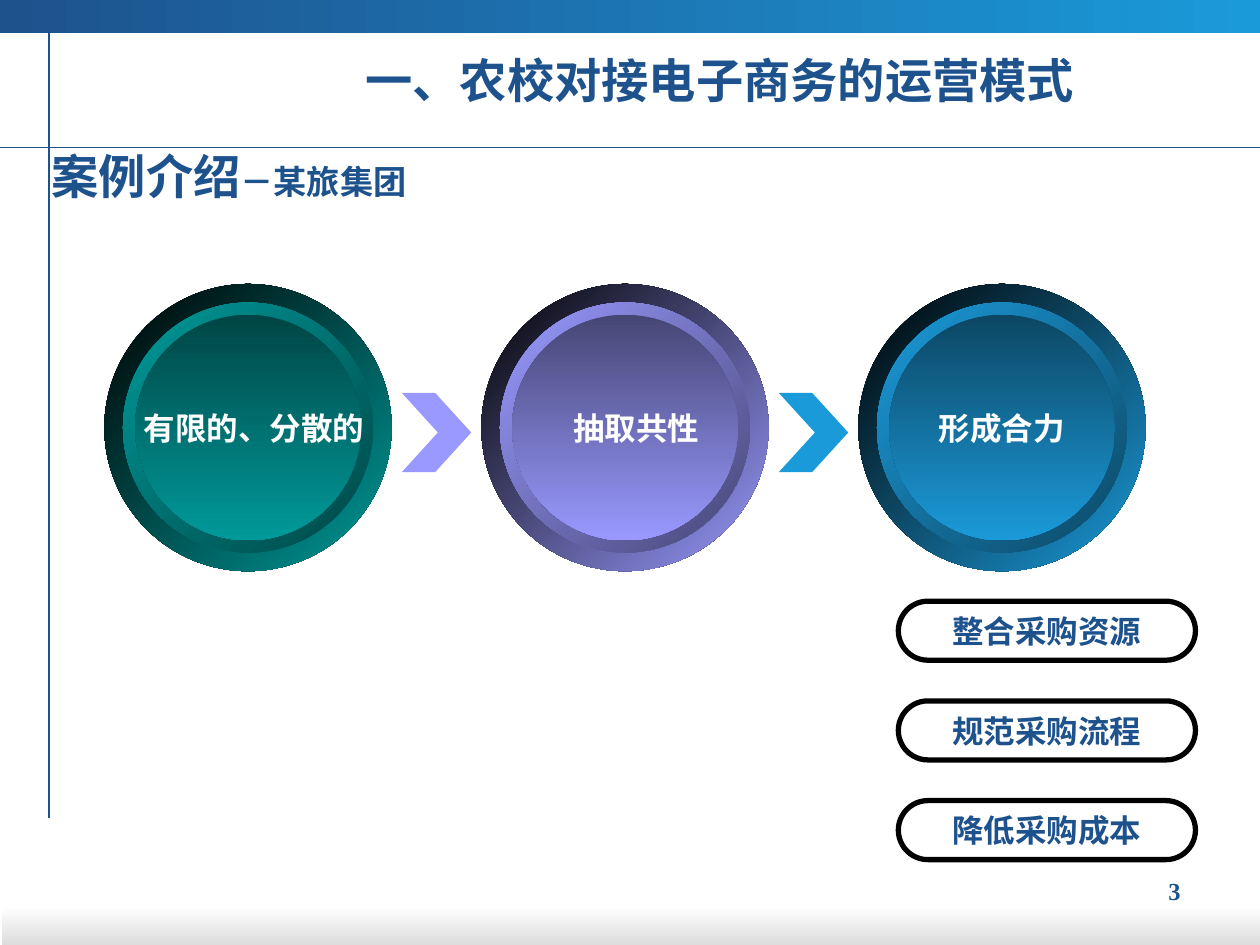
from lxml import etree
from pptx import Presentation
from pptx.dml.color import RGBColor
from pptx.enum import shapes, text
from pptx.oxml.ns import qn
from pptx.util import Cm, Pt

COLOURS = {
    "navy": "1D528D", "blue": "1B9AD9", "purple": "9999FF", "teal": "009999",
    "dark blue": "0C4764", "dark purple": "464675", "dark teal": "004646",
    "black": "000000", "white": "FFFFFF", "grey": "DDDDDD",
}
LATIN, CJK = "Times New Roman", "Noto Sans CJK SC"

TITLE = "一、农校对接电子商务的运营模式"
SUBTITLE = [("案例介绍", 27), ("－某旅集团", 19)]
PAGE_NUMBER = "3"
# label, colour, left and width of the label in cm
STAGES = [
    ("有限的、分散的", "teal", 2.61, 4.98),
    ("抽取共性", "purple", 10.69, 3.66),
    ("形成合力", "blue", 18.11, 3.61),
]
RESULTS = ["整合采购资源", "规范采购流程", "降低采购成本"]

SLIDE_WIDTH, SLIDE_HEIGHT = 25.4, 19.05
FIRST_CENTRE, CENTRE_Y, STAGE_PITCH = 5.0, 8.62, 7.6
RESULT_TOP, RESULT_PITCH = 12.12, 2.01

SHAPE = shapes.MSO_SHAPE
ALIGN = text.PP_ALIGN
ANCHOR = text.MSO_ANCHOR


def rgb(name):
    return RGBColor.from_string(COLOURS[name])


def add_shape(slide, kind, left, top, width, height):
    shape = slide.shapes.add_shape(kind, Cm(left), Cm(top), Cm(width), Cm(height))
    shape.shadow.inherit = False
    shape.line.fill.background()
    return shape


def fill_gradient(shape, start, end, angle):
    """Fill with two colours; the angle runs clockwise from left to right."""
    shape.fill.gradient()
    shape.fill.gradient_angle = (360 - angle) % 360
    for stop, colour in zip(shape.fill.gradient_stops, (start, end)):
        stop.color.rgb = rgb(colour)


def add_line(slide, x1, y1, x2, y2):
    line = slide.shapes.add_connector(
        shapes.MSO_CONNECTOR.STRAIGHT, Cm(x1), Cm(y1), Cm(x2), Cm(y2))
    line.line.color.rgb = rgb("navy")
    line.line.width = Pt(0.75)
    etree.SubElement(line._element.spPr, qn("a:effectLst"))


def write(shape, content, size, colour, align, font=LATIN, anchor=ANCHOR.TOP, wrap=True):
    frame = shape.text_frame
    frame.auto_size = text.MSO_AUTO_SIZE.NONE
    frame.word_wrap = wrap
    frame.vertical_anchor = anchor
    paragraph = frame.paragraphs[0]
    paragraph.text = content
    paragraph.alignment = align
    paragraph.font.name = font
    paragraph.font.size = Pt(size)
    paragraph.font.bold = True
    paragraph.font.color.rgb = rgb(colour)
    return paragraph


def add_text(slide, left, top, width, height, *args, **options):
    box = slide.shapes.add_textbox(Cm(left), Cm(top), Cm(width), Cm(height))
    return write(box, *args, **options)


def add_frame(slide):
    bottom = add_shape(slide, SHAPE.RECTANGLE, 0.05, 18.26, SLIDE_WIDTH - 0.05, 0.79)
    fill_gradient(bottom, "white", "grey", 90)
    top = add_shape(slide, SHAPE.RECTANGLE, 0, 0, SLIDE_WIDTH, 0.66)
    fill_gradient(top, "navy", "blue", 0)
    add_text(slide, 21.89, 17.53, 2.16, 0.86, PAGE_NUMBER, 14, "navy", ALIGN.RIGHT)
    add_line(slide, 0, 2.97, SLIDE_WIDTH, 2.97)
    add_line(slide, 0.99, 0.61, 0.99, 16.48)


def add_headings(slide):
    title = slide.shapes.title
    title.left, title.top, title.width, title.height = Cm(7.11), Cm(0.84), Cm(17.8), Cm(1.47)
    write(title, TITLE, 27, "navy", ALIGN.LEFT, CJK, ANCHOR.BOTTOM)
    subtitle = add_text(slide, 0.79, 2.77, 17.8, 1.47, "", 27, "navy", ALIGN.LEFT,
                        CJK, ANCHOR.BOTTOM)
    for words, size in SUBTITLE:
        run = subtitle.add_run()
        run.text = words
        run.font.size = Pt(size)


def add_stage(slide, index, label, colour, label_left, label_width):
    centre = FIRST_CENTRE + index * STAGE_PITCH
    dark = f"dark {colour}"
    rings = [(5.79, "black", colour, 45), (5.04, colour, dark, 45), (4.55, dark, colour, 90)]
    for size, start, end, angle in rings:
        ring = add_shape(slide, SHAPE.OVAL, centre - size / 2, CENTRE_Y - size / 2, size, size)
        fill_gradient(ring, start, end, angle)
    if index > 0:
        chevron = add_shape(slide, SHAPE.CHEVRON, centre - 4.5, 7.92, 1.4, 1.6)
        chevron.adjustments[0] = 0.52
        chevron.fill.solid()
        chevron.fill.fore_color.rgb = rgb(colour)
    add_text(slide, label_left, 8.13, label_width, 1.02, label, 18, "white",
             ALIGN.RIGHT, wrap=False)


def add_result(slide, index, label):
    pill = add_shape(slide, SHAPE.ROUNDED_RECTANGLE, 18.11,
                     RESULT_TOP + index * RESULT_PITCH, 5.99, 1.19)
    pill.adjustments[0] = 0.5
    pill.fill.background()
    pill.line.color.rgb = rgb("black")
    pill.line.width = Pt(3)
    write(pill, label, 18, "navy", ALIGN.CENTER, anchor=ANCHOR.MIDDLE, wrap=False)


def main():
    presentation = Presentation()
    presentation.slide_width = Cm(SLIDE_WIDTH)
    presentation.slide_height = Cm(SLIDE_HEIGHT)
    slide = presentation.slides.add_slide(presentation.slide_layouts[5])
    add_frame(slide)
    add_headings(slide)
    for index, stage in enumerate(STAGES):
        add_stage(slide, index, *stage)
    for index, label in enumerate(RESULTS):
        add_result(slide, index, label)
    presentation.save("out.pptx")


if __name__ == "__main__":
    main()
